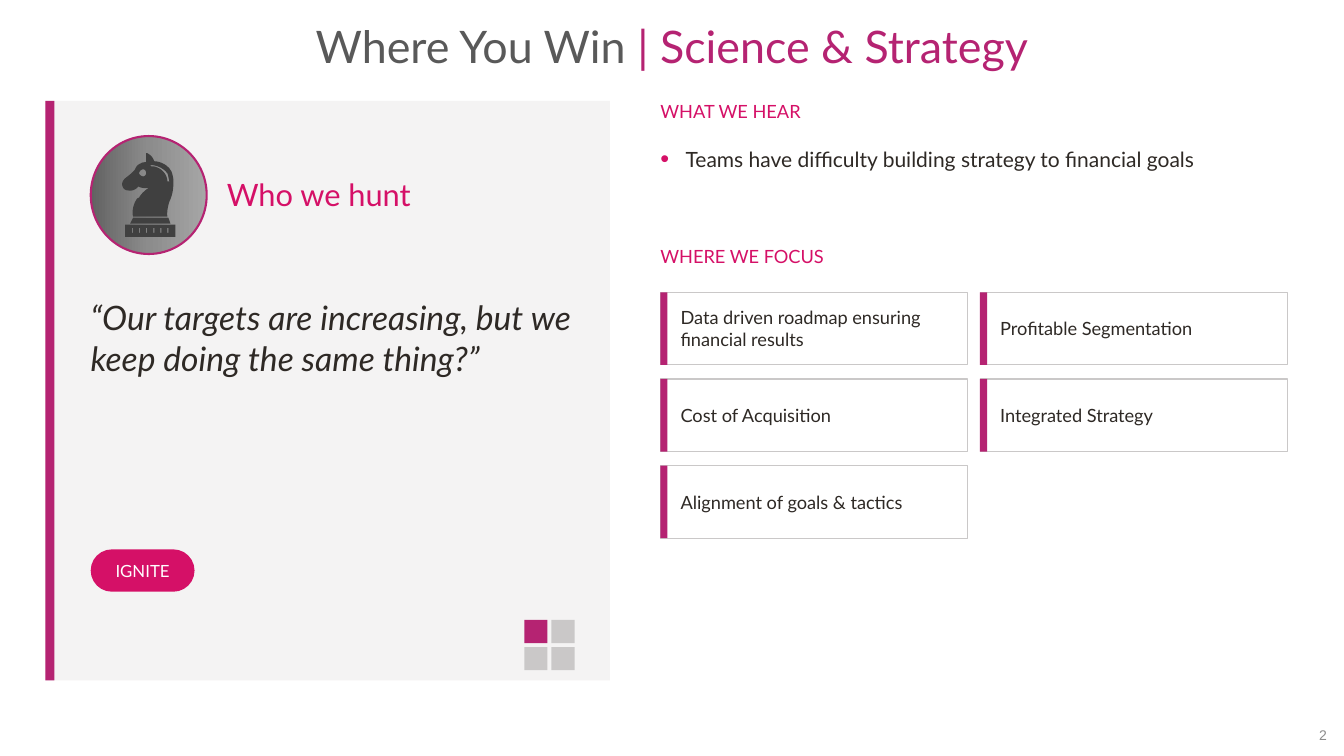
from copy import deepcopy

from lxml.etree import SubElement
from pptx import Presentation
from pptx.dml.color import RGBColor
from pptx.enum.shapes import MSO_SHAPE
from pptx.enum.text import MSO_ANCHOR, PP_ALIGN
from pptx.oxml.ns import qn
from pptx.util import Inches, Pt

MAGENTA = RGBColor(0xB5, 0x23, 0x72)
PINK = RGBColor(0xD5, 0x10, 0x67)
INK = RGBColor(0x2E, 0x29, 0x25)
TITLE_GRAY = RGBColor(0x59, 0x59, 0x59)
NUMBER_GRAY = RGBColor(0x8C, 0x8C, 0x8C)
PANEL_GRAY = RGBColor(0xF4, 0xF3, 0xF3)
RULE_GRAY = RGBColor(0xCA, 0xC8, 0xC8)
KNIGHT_GRAY = RGBColor(0x40, 0x40, 0x40)
WHITE = RGBColor(0xFF, 0xFF, 0xFF)
BADGE_STOPS = [(0, RGBColor(0x62, 0x62, 0x62)), (0.5, NUMBER_GRAY),
               (1, RGBColor(0xA6, 0xA6, 0xA6))]

TITLE = [("Where You Win ", TITLE_GRAY), ("| Science & Strategy", MAGENTA)]
PERSONA = "Who we hunt"
QUOTE = "“Our targets are increasing, but we keep doing the same thing?”"
STAGE = "IGNITE"
HEAR_HEADING = "WHAT WE HEAR"
HEARD = ["Teams have difficulty building strategy to financial goals"]
FOCUS_HEADING = "WHERE WE FOCUS"
FOCUS = ["Data driven roadmap ensuring financial results", "Profitable Segmentation",
         "Cost of Acquisition", "Integrated Strategy", "Alignment of goals & tactics"]

# Chess knight outlines in inches: a pair is a corner, six numbers are a Bézier curve.
KNIGHT_HEAD = [
    (1.46, 1.52), (1.46, 1.52, 1.51, 1.54, 1.53, 1.6), (1.55, 1.6, 1.65, 1.61, 1.7, 1.7),
    (1.71, 1.73, 1.72, 1.76, 1.72, 1.8), (1.72, 1.84, 1.72, 1.92, 1.68, 2),
    (1.68, 2, 1.65, 2.09, 1.66, 2.15), (1.32, 2.15), (1.31, 2.12, 1.31, 2.04, 1.36, 1.97),
    (1.38, 1.96), (1.39, 1.94, 1.42, 1.9, 1.48, 1.86), (1.45, 1.87, 1.41, 1.87, 1.37, 1.85),
    (1.36, 1.87, 1.32, 1.9, 1.27, 1.89), (1.25, 1.89, 1.23, 1.88, 1.22, 1.86),
    (1.21, 1.84, 1.2, 1.81, 1.24, 1.77), (1.24, 1.77, 1.31, 1.72, 1.34, 1.68),
    (1.35, 1.65, 1.37, 1.63, 1.4, 1.62), (1.41, 1.61, 1.43, 1.61, 1.45, 1.61), (1.45, 1.52)]
KNIGHT_EYE = [
    (1.42, 1.68), (1.4, 1.68, 1.38, 1.7, 1.38, 1.72), (1.38, 1.73, 1.4, 1.75, 1.42, 1.75),
    (1.44, 1.75, 1.45, 1.73, 1.45, 1.72), (1.45, 1.7, 1.44, 1.68, 1.42, 1.68)]
KNIGHT_MANE = [
    (1.49, 1.64), (1.5, 1.65), (1.52, 1.65), (1.52, 1.65, 1.6, 1.66, 1.64, 1.73),
    (1.65, 1.75, 1.66, 1.77, 1.66, 1.8), (1.68, 1.8), (1.67, 1.77, 1.67, 1.74, 1.66, 1.72),
    (1.61, 1.65, 1.52, 1.64, 1.52, 1.64)]
KNIGHT_COLLAR = [(1.32, 2.16), (1.67, 2.16), (1.69, 2.22), (1.29, 2.22)]
KNIGHT_BASE = [(1.24, 2.23), (1.74, 2.23), (1.74, 2.35), (1.24, 2.35)]
SLOT_LEFTS = [1.31 + 0.07 * slot for slot in range(6)]
KNIGHT_SLOTS = [[(left, 2.26), (left + 0.01, 2.26), (left + 0.01, 2.31), (left, 2.31)]
                for left in SLOT_LEFTS]
KNIGHT = [KNIGHT_HEAD, KNIGHT_EYE, KNIGHT_MANE, KNIGHT_COLLAR, KNIGHT_BASE, *KNIGHT_SLOTS]

RIGHT_LEFT = 6.55
CARD_WIDTH, CARD_HEIGHT = 3.05, 0.72
CARD_TOP, CARD_STEP_X, CARD_STEP_Y = 2.9, 3.17, 0.86
TILE, TILE_STEP = 0.23, 0.27


def place(shape, left, top, width, height):
    box = dict(left=left, top=top, width=width, height=height)
    for name, value in box.items():
        setattr(shape, name, Inches(value))


def style_font(font, size, color, italic=False, name="Lato"):
    values = dict(size=Pt(size), name=name, italic=italic, bold=False)
    for attribute, value in values.items():
        setattr(font, attribute, value)
    font.color.rgb = color


def set_frame(frame, anchor, side=0, vertical=0):
    values = dict(word_wrap=True, vertical_anchor=anchor,
                  margin_left=Inches(side), margin_right=Inches(side),
                  margin_top=Inches(vertical), margin_bottom=Inches(vertical))
    for attribute, value in values.items():
        setattr(frame, attribute, value)


def add_block(shapes, box, fill, line=None, kind=MSO_SHAPE.RECTANGLE, line_width=0.75):
    shape = shapes.add_shape(kind, *map(Inches, box))
    finish_block(shape, fill, line, line_width)
    return shape


def finish_block(shape, fill, line=None, line_width=0.75):
    shape.shadow.inherit = False
    shape.fill.solid()
    shape.fill.fore_color.rgb = fill
    if line is None:
        shape.line.fill.background()
    else:
        shape.line.color.rgb = line
        shape.line.width = Pt(line_width)


def add_text(shapes, box, text, size, color, anchor=MSO_ANCHOR.TOP, italic=False):
    frame = shapes.add_textbox(*map(Inches, box)).text_frame
    set_frame(frame, anchor)
    paragraph = frame.paragraphs[0]
    paragraph.text = text
    style_font(paragraph.runs[0].font, size, color, italic)


def flatten(outline, steps=8):
    """Turn corners and Bézier curves into a list of points in EMU."""
    points = [outline[0]]
    for segment in outline[1:]:
        if len(segment) == 2:
            points.append(segment)
            continue
        start, first, second, end = points[-1], segment[:2], segment[2:4], segment[4:]
        for step in range(1, steps + 1):
            t = step / steps
            u = 1 - t
            points.append(tuple(
                u**3 * a + 3 * u * u * t * b + 3 * u * t * t * c + t**3 * d
                for a, b, c, d in zip(start, first, second, end)))
    return [(Inches(x), Inches(y)) for x, y in points]


def add_knight(shapes):
    contours = [flatten(outline) for outline in KNIGHT]
    builder = shapes.build_freeform(*contours[0][0], scale=1.0)
    builder.add_line_segments(contours[0][1:], close=True)
    for contour in contours[1:]:
        builder.move_to(*contour[0])
        builder.add_line_segments(contour[1:], close=True)
    finish_block(builder.convert_to_shape(), KNIGHT_GRAY)


def add_badge(shapes):
    badge = add_block(shapes, (0.9, 1.35, 1.15, 1.17), NUMBER_GRAY, MAGENTA,
                      MSO_SHAPE.OVAL, 1.5)
    badge.fill.gradient()
    badge.fill.gradient_angle = 0
    stop_list = next(badge.element.iter(qn("a:gsLst")))
    stop_list.insert(1, deepcopy(stop_list[0]))
    for stop, (position, color) in zip(badge.fill.gradient_stops, BADGE_STOPS):
        stop.position = position
        stop.color.rgb = color
    add_knight(shapes)


def fill_title(title):
    place(title, 0, 0.25, 13.33, 0.47)
    set_frame(title.text_frame, MSO_ANCHOR.MIDDLE)
    paragraph = title.text_frame.paragraphs[0]
    paragraph.alignment = PP_ALIGN.CENTER
    paragraph.line_spacing = 0.9
    for text, color in TITLE:
        run = paragraph.add_run()
        run.text = text
        style_font(run.font, 32, color)


def fill_list(body):
    place(body, RIGHT_LEFT, 1.45, 6.3, 0.62)
    set_frame(body.text_frame, MSO_ANCHOR.TOP)
    body.text_frame.text = "\n".join(HEARD)
    for paragraph in body.text_frame.paragraphs:
        paragraph.space_before = Pt(0)
        properties = paragraph._p.get_or_add_pPr()
        properties.set("marL", str(Inches(0.25)))
        properties.set("indent", str(-Inches(0.25)))
        color = SubElement(properties, qn("a:buClr"))
        SubElement(color, qn("a:srgbClr"), val=str(PINK))
        SubElement(properties, qn("a:buSzPct"), val="120000")
        SubElement(properties, qn("a:buFont"), typeface="Arial")
        SubElement(properties, qn("a:buChar"), char="•")
        style_font(paragraph.runs[0].font, 15, INK)


def add_slide_number(shapes):
    frame = shapes.add_textbox(*map(Inches, (9.76, 7.11, 3.53, 0.36))).text_frame
    set_frame(frame, MSO_ANCHOR.MIDDLE, 0.13, 0.07)
    paragraph = frame.paragraphs[0]
    paragraph.alignment = PP_ALIGN.RIGHT
    run = paragraph.add_run()
    run.text = "2"
    style_font(run.font, 10, NUMBER_GRAY, name="Arial")


def main():
    presentation = Presentation()
    presentation.slide_width, presentation.slide_height = Inches(13.33), Inches(7.5)
    slide = presentation.slides.add_slide(presentation.slide_layouts[1])
    shapes = slide.shapes
    fill_title(shapes.title)
    fill_list(slide.placeholders[1])
    add_slide_number(shapes)

    add_block(shapes, (0.45, 1, 5.6, 5.75), PANEL_GRAY)
    add_block(shapes, (0.45, 1, 0.09, 5.75), MAGENTA)
    add_badge(shapes)
    add_text(shapes, (2.25, 1.35, 3.6, 1.15), PERSONA, 22, PINK, MSO_ANCHOR.MIDDLE)
    add_text(shapes, (0.9, 2.95, 4.85, 2.3), QUOTE, 24, INK, italic=True)
    pill = add_block(shapes, (0.9, 5.45, 1.03, 0.42), PINK, kind=MSO_SHAPE.ROUNDED_RECTANGLE)
    pill.adjustments[0] = 0.5
    set_frame(pill.text_frame, MSO_ANCHOR.MIDDLE, 0.04)
    pill.text_frame.text = STAGE
    pill.text_frame.paragraphs[0].alignment = PP_ALIGN.CENTER
    style_font(pill.text_frame.paragraphs[0].runs[0].font, 12, WHITE)
    for index in range(4):
        row, column = divmod(index, 2)
        tile_box = (5.2 + column * TILE_STEP, 6.15 + row * TILE_STEP, TILE, TILE)
        add_block(shapes, tile_box, RULE_GRAY if index else MAGENTA)

    for heading, top in [(HEAR_HEADING, 1), (FOCUS_HEADING, 2.43)]:
        add_text(shapes, (RIGHT_LEFT, top, 6.3, 0.4), heading, 13, PINK)
    for index, text in enumerate(FOCUS):
        row, column = divmod(index, 2)
        left, top = RIGHT_LEFT + column * CARD_STEP_X, CARD_TOP + row * CARD_STEP_Y
        add_block(shapes, (left, top, CARD_WIDTH, CARD_HEIGHT), WHITE, RULE_GRAY)
        add_block(shapes, (left, top, 0.07, CARD_HEIGHT), MAGENTA)
        add_text(shapes, (left + 0.2, top, 2.75, CARD_HEIGHT), text, 13, INK, MSO_ANCHOR.MIDDLE)
    presentation.save("out.pptx")


if __name__ == "__main__":
    main()
